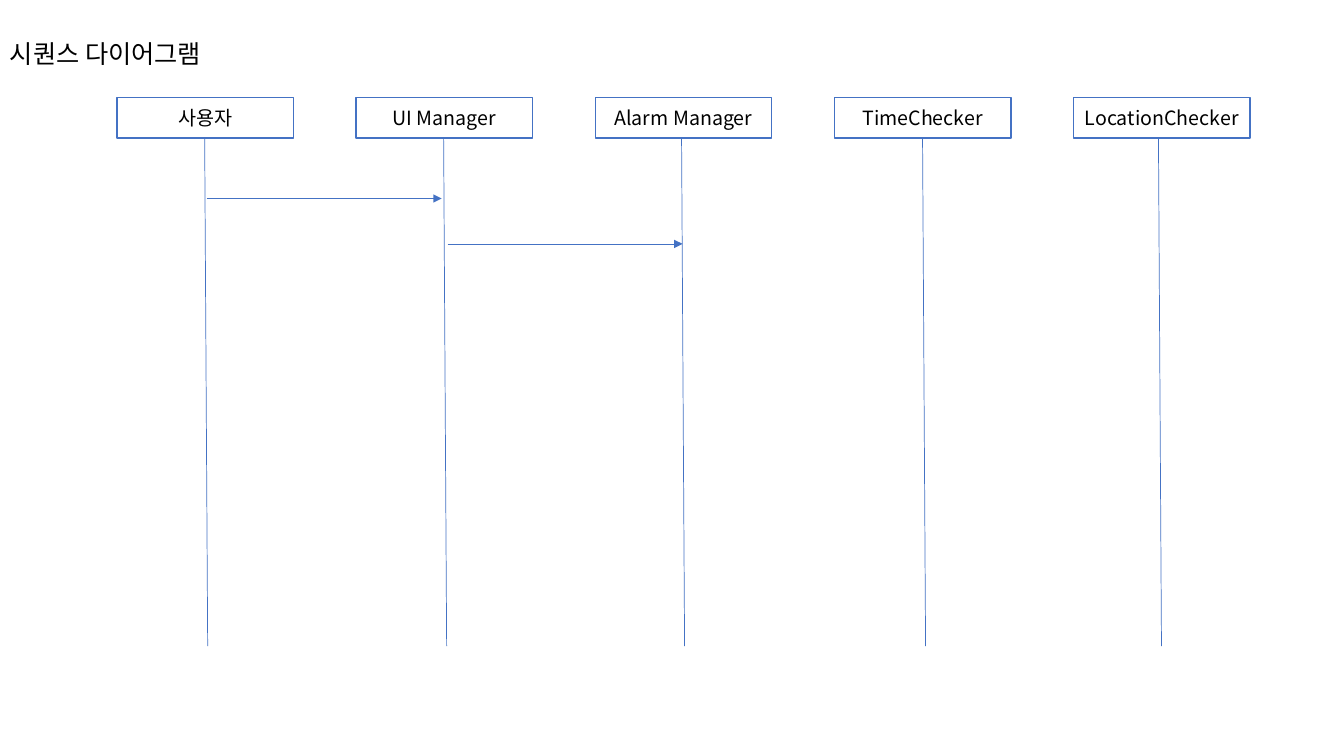
"""Build a sequence diagram slide with five participants and two messages."""
from lxml.etree import SubElement
from pptx import Presentation
from pptx.dml.color import RGBColor
from pptx.enum.shapes import MSO_CONNECTOR, MSO_SHAPE
from pptx.enum.text import MSO_ANCHOR, MSO_AUTO_SIZE, PP_ALIGN
from pptx.oxml.ns import qn
from pptx.util import Inches, Pt

BLUE = RGBColor(0x44, 0x72, 0xC4)
WHITE = RGBColor(0xFF, 0xFF, 0xFF)
BLACK = RGBColor(0, 0, 0)
FONT = "Noto Sans CJK KR"

FIRST_LEFT, COLUMN_STEP = 1.16, 2.372
BOX_TOP, BOX_WIDTH, BOX_HEIGHT = 0.97, 1.75, 0.4
LIFELINE_TOP, LIFELINE_BOTTOM, LIFELINE_SLANT = 1.38, 6.41, 0.03

PARTICIPANTS = [
    ("사용자", 2.03),
    ("UI Manager", 4.4),
    ("Alarm Manager", 6.76),
    ("TimeChecker", 9.15),
    ("LocationChecker ", 11.49),
]
MESSAGES = [(2.05, 4.38, 1.97), (4.44, 6.77, 2.42)]


def write_text(box, text, size, align):
    para = box.text_frame.paragraphs[0]
    para.alignment = align
    span = para.add_run()
    span.text = text
    for name, value in {"name": FONT, "size": Pt(size)}.items():
        setattr(span.font, name, value)
    span.font.color.rgb = BLACK
    SubElement(span.font._element, qn("a:ea"), typeface=FONT)


def draw_line(page, start_x, start_y, end_x, end_y):
    line = page.shapes.add_connector(
        MSO_CONNECTOR.STRAIGHT,
        Inches(start_x), Inches(start_y), Inches(end_x), Inches(end_y))
    line.line.color.rgb = BLUE
    line.line.width = Pt(0.5)
    SubElement(line._element.spPr, qn("a:effectLst"))
    return line


deck = Presentation()
deck.slide_width, deck.slide_height = Inches(13.33), Inches(7.5)
page = deck.slides.add_slide(deck.slide_layouts[6])

title = page.shapes.add_textbox(0, Inches(0.33), Inches(2.31), Inches(0.4))
title_format = {"word_wrap": False, "auto_size": MSO_AUTO_SIZE.SHAPE_TO_FIT_TEXT}
for name, value in title_format.items():
    setattr(title.text_frame, name, value)
write_text(title, "시퀀스 다이어그램", 18, PP_ALIGN.LEFT)

for column, (participant, lifeline_x) in enumerate(PARTICIPANTS):
    box = page.shapes.add_shape(
        MSO_SHAPE.RECTANGLE,
        Inches(FIRST_LEFT + column * COLUMN_STEP), Inches(BOX_TOP),
        Inches(BOX_WIDTH), Inches(BOX_HEIGHT))
    box.shadow.inherit = False
    box.fill.solid()
    box.fill.fore_color.rgb = WHITE
    box.line.color.rgb = BLUE
    box.line.width = Pt(1)
    box.text_frame.vertical_anchor = MSO_ANCHOR.MIDDLE
    write_text(box, participant, 14, PP_ALIGN.CENTER)
    draw_line(page, lifeline_x, LIFELINE_TOP,
              lifeline_x + LIFELINE_SLANT, LIFELINE_BOTTOM)

for sender_x, receiver_x, message_y in MESSAGES:
    arrow = draw_line(page, sender_x, message_y, receiver_x, message_y)
    SubElement(arrow.line._get_or_add_ln(), qn("a:tailEnd"), type="triangle")

deck.save("out.pptx")
